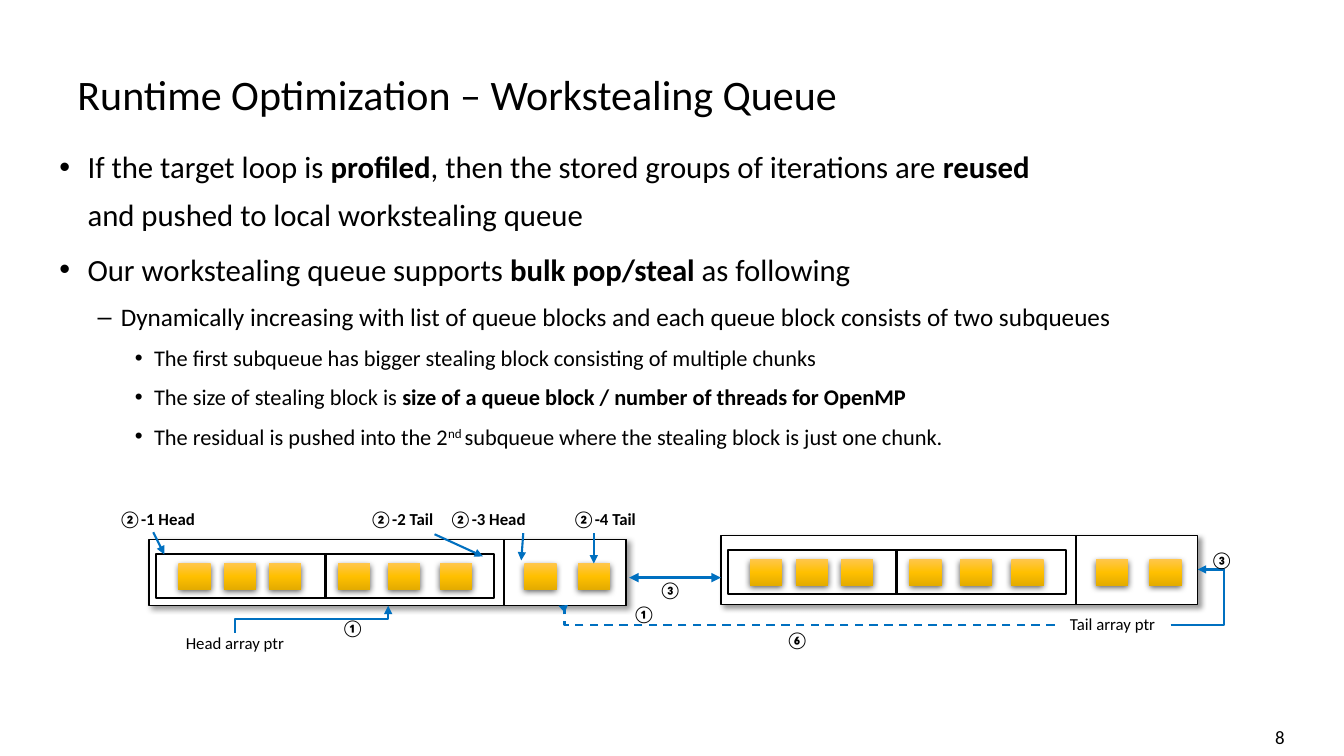
"""Builds the slide on the bulk pop and steal workstealing queue."""
from dataclasses import dataclass
from typing import Optional

from pptx import Presentation
from pptx.dml.color import RGBColor
from pptx.enum.dml import MSO_LINE
from pptx.enum.shapes import MSO_CONNECTOR as Link, MSO_SHAPE as Preset
from pptx.enum.text import MSO_ANCHOR as Anchor, PP_ALIGN as Align
from pptx.oxml import parse_xml
from pptx.oxml.ns import nsdecls, qn
from pptx.util import Inches, Pt

FONT = "Calibri"
BLACK = RGBColor(0x00, 0x00, 0x00)
WHITE = RGBColor(0xFF, 0xFF, 0xFF)
BLUE = RGBColor(0x00, 0x70, 0xC0)
AMBER_STOPS = ((0, RGBColor(0xFF, 0xC6, 0x4B)), (50, RGBColor(0xFF, 0xC0, 0x00)),
               (100, RGBColor(0xE3, 0xAB, 0x00)))


@dataclass(frozen=True)
class Level:
    bullet: str
    indent: float
    hang: float
    size: int


@dataclass(frozen=True)
class Point:
    level: int
    runs: tuple[tuple[str, str], ...]


@dataclass(frozen=True)
class Label:
    text: str
    left: float
    top: float
    width: float
    height: float = 0.31
    size: float = 12
    bold: bool = True
    align: Align = Align.LEFT
    anchor: Anchor = Anchor.TOP
    inset: Optional[float] = None


@dataclass(frozen=True)
class Shadow:
    alpha: int
    blur: float
    distance: float
    angle: int


@dataclass(frozen=True)
class QueueBlock:
    left: float
    top: float
    height: float


@dataclass(frozen=True)
class Arrow:
    start: tuple[float, float]
    end: tuple[float, float]
    width: float = 1.5
    both_ends: bool = False
    bend: Optional[float] = None
    upright: bool = False
    dashed: bool = False


LEVELS = (Level("•", 0.28, 0.28, 22), Level("–", 0.61, 0.23, 18), Level("•", 0.94, 0.19, 16))
POINTS = (
    Point(0, (("If the target loop is ", ""), ("profiled", "bold"),
              (", then the stored groups of iterations are ", ""), ("reused \v", "bold"),
              ("and pushed to local workstealing queue", ""))),
    Point(0, (("Our workstealing queue supports ", ""), ("bulk pop/steal ", "bold"),
              ("as following", ""))),
    Point(1, (("Dynamically increasing with list of queue blocks and each queue block "
               "consists of two subqueues", ""),)),
    Point(2, (("The first subqueue has bigger stealing block consisting of multiple chunks", ""),)),
    Point(2, (("The size of stealing block is ", ""),
              ("size of a queue block / number of threads for OpenMP", "bold"))),
    Point(2, (("The residual is pushed into the 2", ""), ("nd ", "super"),
              ("subqueue where the stealing block is just one chunk.", ""))),
)
LABELS = (
    Label("Runtime Optimization – Workstealing Queue", 0.67, 0.3, 8.89, 1.25, 30, False,
          anchor=Anchor.MIDDLE),
    Label("8", 12.55, 7.15, 0.6, 0.35, 13.5, False),
    Label("Tail array ptr", 10.46, 6.04, 1.15, bold=False, align=Align.CENTER),
    Label("Head array ptr", 1.44, 6.28, 1.78, 0.2, bold=False, align=Align.CENTER, inset=0),
    Label("②-1 Head", 1.08, 5, 1.03),
    Label("②-2 Tail", 3.57, 5, 0.91),
    Label("②-3 Head", 4.36, 5, 1.03),
    Label("②-4 Tail", 5.58, 5, 0.91),
    Label("③", 11.91, 5.4, 0.4),
    Label("③", 6.44, 5.7, 0.4),
    Label("①", 3.29, 6.08, 0.56),
    Label("①", 6.18, 5.94, 0.56),
    Label("⑥", 7.7, 6.2, 0.46),
)
QUEUE_BLOCKS = (QueueBlock(1.48, 5.35, 0.66), QueueBlock(7.15, 5.31, 0.69))
QUEUE_WIDTH, RESIDUAL_WIDTH = 4.73, 1.21
STEALING_BLOCK_OFFSETS = (0.07, 1.74)
CHUNK_OFFSETS = (0.29, 0.74, 1.19, 1.87, 2.37, 2.88, 3.72, 4.25)
QUEUE_SHADOW = Shadow(40, 4, 3, 45)
CHUNK_SHADOW = Shadow(63, 4.5, 1.5, 90)
ARROWS = (
    Arrow((1.52, 5.28), (1.63, 5.5)),
    Arrow((4.31, 5.3), (4.79, 5.52)),
    Arrow((5.19, 5.29), (5.17, 5.56)),
    Arrow((5.89, 5.29), (5.89, 5.59)),
    Arrow((6.24, 5.73), (7.15, 5.73), 2.25, both_ends=True),
    Arrow((2.33, 6.28), (3.85, 6.01), bend=0.5, upright=True),
    Arrow((10.46, 6.2), (5.54, 6.01), bend=0.988, dashed=True),
    Arrow((11.61, 6.2), (11.88, 5.65), bend=1.976),
)


def add_label(slide, label: Label) -> None:
    box = slide.shapes.add_textbox(*map(Inches, (label.left, label.top, label.width, label.height)))
    frame = box.text_frame
    frame.word_wrap = True
    frame.vertical_anchor = label.anchor
    if label.inset is not None:
        frame.margin_left = frame.margin_right = Inches(label.inset)
        frame.margin_top = frame.margin_bottom = Inches(label.inset)
    paragraph = frame.paragraphs[0]
    paragraph.text = label.text
    paragraph.alignment = label.align
    font = paragraph.font
    font.name, font.size, font.bold = FONT, Pt(label.size), label.bold
    font.color.rgb = BLACK


def add_points(slide) -> None:
    frame = slide.shapes.add_textbox(*map(Inches, (0.49, 1.31, 12.4, 5.19))).text_frame
    frame.word_wrap = True
    for index, point in enumerate(POINTS):
        level = LEVELS[point.level]
        paragraph = frame.add_paragraph() if index else frame.paragraphs[0]
        paragraph.level = point.level
        paragraph.line_spacing = 1.3
        paragraph.space_before = Pt(0.2 * level.size if index else 0)
        properties = paragraph._p.get_or_add_pPr()
        properties.set("marL", str(Inches(level.indent)))
        properties.set("indent", str(-Inches(level.hang)))
        properties.append(parse_xml(f'<a:buFont {nsdecls("a")} typeface="Arial"/>'))
        properties.append(parse_xml(f'<a:buChar {nsdecls("a")} char="{level.bullet}"/>'))
        paragraph.font.name, paragraph.font.size = FONT, Pt(level.size)
        paragraph.font.color.rgb = BLACK
        for text, style in point.runs:
            run = paragraph.add_run()
            run.text = text.rstrip("\v")
            if style == "bold":
                run.font.bold = True
            elif style == "super":
                run.font._element.set("baseline", "30000")
            if text.endswith("\v"):
                paragraph.add_line_break()


def add_box(slide, left: float, top: float, width: float, height: float,
            line: Optional[float] = None, fill: Optional[RGBColor] = None,
            shadow: Optional[Shadow] = None):
    box = slide.shapes.add_shape(Preset.RECTANGLE, *map(Inches, (left, top, width, height)))
    box.shadow.inherit = False
    if fill is None:
        box.fill.background()
    else:
        box.fill.solid()
        box.fill.fore_color.rgb = fill
    if line is None:
        box.line.fill.background()
    else:
        box.line.color.rgb, box.line.width = BLACK, Pt(line)
    if shadow:
        box._element.spPr.find(qn("a:effectLst")).append(parse_xml(
            f'<a:outerShdw {nsdecls("a")} blurRad="{Pt(shadow.blur)}" dist="{Pt(shadow.distance)}" '
            f'dir="{shadow.angle * 60000}" rotWithShape="0"><a:srgbClr val="{BLACK}">'
            f'<a:alpha val="{shadow.alpha * 1000}"/></a:srgbClr></a:outerShdw>'))
    return box


def add_queue_block(slide, queue: QueueBlock) -> None:
    left, top = queue.left, queue.top
    add_box(slide, left, top, QUEUE_WIDTH, queue.height, 1, WHITE, QUEUE_SHADOW)
    add_box(slide, left + QUEUE_WIDTH - RESIDUAL_WIDTH, top, RESIDUAL_WIDTH, queue.height, 1, WHITE)
    stops = "".join(f'<a:gs pos="{at * 1000}"><a:srgbClr val="{color}"/></a:gs>'
                    for at, color in AMBER_STOPS)
    for offset in CHUNK_OFFSETS:
        chunk = add_box(slide, left + offset, top + 0.24, 0.32, 0.26, shadow=CHUNK_SHADOW)
        plain = chunk._element.spPr.find(qn("a:noFill"))
        plain.getparent().replace(plain, parse_xml(
            f'<a:gradFill {nsdecls("a")} rotWithShape="1"><a:gsLst>{stops}</a:gsLst>'
            '<a:lin ang="5400000" scaled="0"/></a:gradFill>'))
    for offset in STEALING_BLOCK_OFFSETS:
        add_box(slide, left + offset, top + 0.15, 1.68, 0.43, 1.5)


def add_arrow(slide, arrow: Arrow) -> None:
    (x1, y1), (x2, y2) = arrow.start, arrow.end
    if arrow.upright:
        x, y, dx, dy = (x1 + x2) / 2, (y1 + y2) / 2, (x2 - x1) / 2, (y2 - y1) / 2
        x1, y1, x2, y2 = x - dy, y + dx, x + dy, y - dx
    kind = Link.STRAIGHT if arrow.bend is None else Link.ELBOW
    link = slide.shapes.add_connector(kind, *map(Inches, (x1, y1, x2, y2)))
    link.line.color.rgb, link.line.width = BLUE, Pt(arrow.width)
    if arrow.dashed:
        link.line.dash_style = MSO_LINE.DASH
    properties = link._element.spPr
    if arrow.upright:
        properties.find(qn("a:xfrm")).set("rot", "5400000")
    if arrow.bend is not None:
        properties.find(qn("a:prstGeom")).find(qn("a:avLst")).append(parse_xml(
            f'<a:gd {nsdecls("a")} name="adj1" fmla="val {round(arrow.bend * 100000)}"/>'))
    for end in ("headEnd", "tailEnd") if arrow.both_ends else ("tailEnd",):
        link.line._get_or_add_ln().append(parse_xml(f'<a:{end} {nsdecls("a")} type="triangle"/>'))
    properties.append(parse_xml(f'<a:effectLst {nsdecls("a")}/>'))


def main() -> None:
    deck = Presentation()
    deck.slide_width, deck.slide_height = Inches(13.33), Inches(7.5)
    slide = deck.slides.add_slide(deck.slide_layouts[6])
    add_points(slide)
    for queue in QUEUE_BLOCKS:
        add_queue_block(slide, queue)
    for arrow in ARROWS:
        add_arrow(slide, arrow)
    for label in LABELS:
        add_label(slide, label)
    deck.save("out.pptx")


if __name__ == "__main__":
    main()
